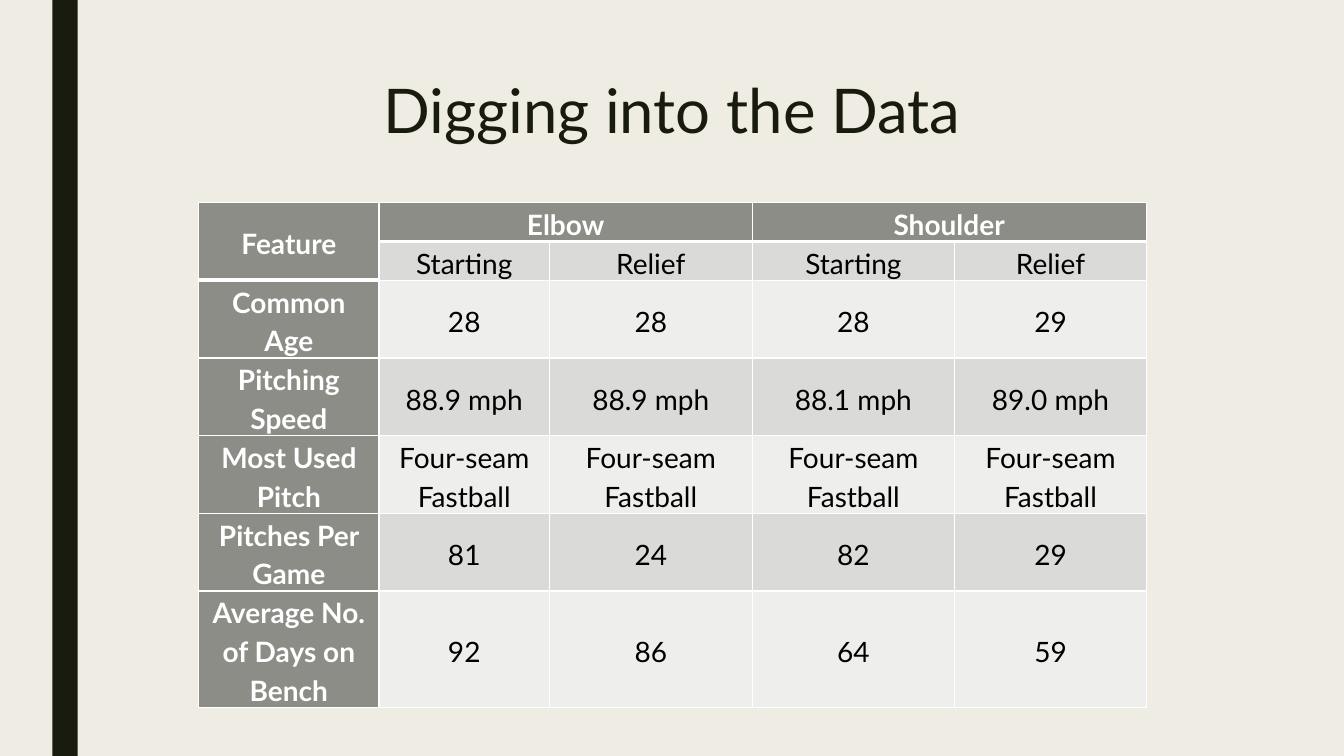
"""Build the slide "Digging into the Data" with its table of pitcher injuries."""
from lxml.etree import SubElement
from pptx import Presentation
from pptx.dml.color import RGBColor
from pptx.enum.shapes import MSO_SHAPE as SHAPE
from pptx.enum.text import MSO_ANCHOR as ANCHOR, PP_ALIGN as ALIGN
from pptx.oxml.ns import qn
from pptx.util import Inches, Pt

COLORS = {"bg": "EFEDE3", "dark": "191B0E", "head": "8C8D86", "band": "DADBD9",
          "light": "EEEEED", "white": "FFFFFF", "black": "000000"}


def write(tf, text, size=20, color="black", bold=False, spacing=1.15):
    p = tf.paragraphs[0]
    p.alignment = ALIGN.CENTER
    p.line_spacing = spacing
    r = p.add_run()
    r.text = text
    r.font.name = "Lato"
    r.font.size = Pt(size)
    r.font.bold = bold
    r.font.color.rgb = RGBColor.from_string(COLORS[color])


def set_borders(cell, row):
    tcPr = cell._tc.get_or_add_tcPr()
    for side in "LRTB":
        width = 3 if (row, side) in [(0, "B"), (1, "T")] else 1
        ln = SubElement(tcPr, qn(f"a:ln{side}"), w=str(Pt(width)))
        fill = SubElement(ln, qn("a:solidFill"))
        SubElement(fill, qn("a:srgbClr"), val=COLORS["white"])


prs = Presentation()
prs.slide_width, prs.slide_height = Inches(13.33), Inches(7.5)
s = prs.slides.add_slide(prs.slide_layouts[5])
s.background.fill.solid()
s.background.fill.fore_color.rgb = RGBColor.from_string(COLORS["bg"])

bar = s.shapes.add_shape(SHAPE.RECTANGLE, Inches(0.52), 0, Inches(0.25), Inches(7.5))
bar.shadow.inherit = False
bar.fill.solid()
bar.fill.fore_color.rgb = RGBColor.from_string(COLORS["dark"])
bar.line.fill.background()

title = s.shapes.title
title.left, title.top = Inches(0.7), Inches(0.75)
title.width, title.height = Inches(11.93), Inches(1.62)
title.text_frame.word_wrap = True
title.text_frame.vertical_anchor = ANCHOR.TOP
write(title.text_frame, "Digging into the Data", size=44, color="dark", spacing=0.89)

rows = [
    ["Feature", "Elbow", "", "Shoulder", ""],
    ["", "Starting", "Relief", "Starting", "Relief"],
    ["Common Age", "28", "28", "28", "29"],
    ["Pitching Speed", "88.9 mph", "88.9 mph", "88.1 mph", "89.0 mph"],
    ["Most Used Pitch"] + ["Four-seam Fastball"] * 4,
    ["Pitches Per Game", "81", "24", "82", "29"],
    ["Average No. of Days on Bench", "92", "86", "64", "59"],
]
widths = [1.79, 1.69, 2.01, 2.01, 1.9]
heights = [0.35, 0.35, 0.43] + [0.62] * 4
table = s.shapes.add_table(len(rows), len(widths), Inches(1.97), Inches(2.01),
                           Inches(sum(widths)), Inches(sum(heights))).table
table.first_col = True
for col, width in zip(table.columns, widths):
    col.width = Inches(width)
for row, height in zip(table.rows, heights):
    row.height = Inches(height)

for i, texts in enumerate(rows):
    for j, text in enumerate(texts):
        cell = table.cell(i, j)
        header = i == 0 or j == 0
        set_borders(cell, i)
        cell.fill.solid()
        fill = "head" if header else "band" if i % 2 else "light"
        cell.fill.fore_color.rgb = RGBColor.from_string(COLORS[fill])
        cell.vertical_anchor = ANCHOR.MIDDLE
        cell.margin_left = cell.margin_right = Inches(0.07)
        cell.margin_top = cell.margin_bottom = 0
        if text:
            write(cell.text_frame, text, color="white" if header else "black", bold=header)

for first, last in [((0, 0), (1, 0)), ((0, 1), (0, 2)), ((0, 3), (0, 4))]:
    table.cell(*first).merge(table.cell(*last))

prs.save("out.pptx")
